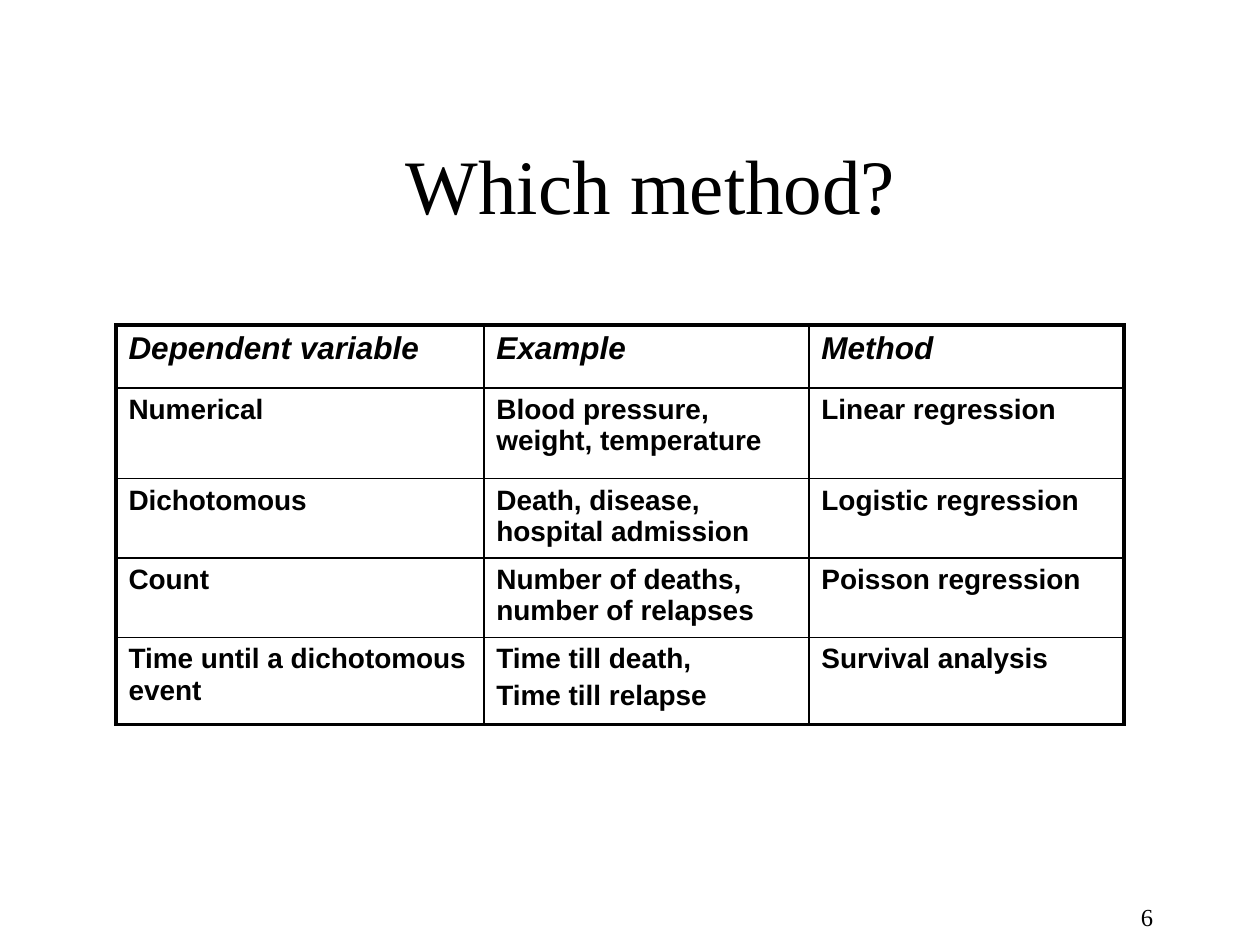
from lxml import etree
from pptx import Presentation
from pptx.dml.color import RGBColor
from pptx.enum.text import MSO_ANCHOR, PP_ALIGN
from pptx.oxml.ns import qn
from pptx.util import Inches, Pt

MIDDLE = MSO_ANCHOR.MIDDLE
CENTER, LEFT, RIGHT = PP_ALIGN.CENTER, PP_ALIGN.LEFT, PP_ALIGN.RIGHT

COLORS = {"ink": "000000", "paper": "FFFFFF"}
SERIF = "Times New Roman"
THIN, THICK = 1, 2.25

TITLE = {"name": SERIF, "size": Pt(44), "bold": False}
HEAD = {"name": "Arial", "size": Pt(18), "bold": True, "italic": True}
BODY = {"name": "Arial", "size": Pt(16), "bold": True, "italic": False}
NUMBER = {"name": SERIF, "size": Pt(14)}

COLS = [2.92, 2.58, 2.5]
ROWS = [0.5, 0.72, 0.63, 0.63, 0.69]
METHODS = [
    ["Dependent variable", "Example", "Method"],
    ["Numerical", "Blood pressure, weight, temperature", "Linear regression"],
    ["Dichotomous", "Death, disease, hospital admission", "Logistic regression"],
    ["Count", "Number of deaths, number of relapses", "Poisson regression"],
    ["Time until a dichotomous event", "Time till death,\nTime till relapse",
     "Survival analysis"],
]


def color(name):
    return RGBColor.from_string(COLORS[name])


def write(frame, text, style, align=LEFT):
    """Fill a text frame; later paragraphs get a gap of 20% of the size."""
    frame.text = text
    frame.word_wrap = True
    for i, para in enumerate(frame.paragraphs):
        para.alignment = align
        para.space_before = Pt(0.2 * style["size"].pt) if i else Pt(0)
        for run in para.runs:
            for key, value in style.items():
                setattr(run.font, key, value)
            run.font.color.rgb = color("ink")


def add_border(cell, side, width):
    props = cell._tc.get_or_add_tcPr()
    line = etree.SubElement(props, qn(f"a:ln{side}"), w=str(Pt(width)))
    fill = etree.SubElement(line, qn("a:solidFill"))
    etree.SubElement(fill, qn("a:srgbClr"), val=COLORS["ink"])


def add_title(slide, text):
    title = slide.shapes.title
    title.left, title.top = Inches(0.83), Inches(0.83)
    title.width, title.height = Inches(8.67), Inches(1.25)
    write(title.text_frame, text, TITLE, CENTER)
    title.text_frame.vertical_anchor = MIDDLE


def add_grid(slide, data):
    frame = slide.shapes.add_table(
        len(ROWS), len(COLS), Inches(0.92), Inches(2.58),
        Inches(sum(COLS)), Inches(sum(ROWS)))
    table = frame.table
    table.first_row = table.horz_banding = False
    for col, width in zip(table.columns, COLS):
        col.width = Inches(width)
    for row, height in zip(table.rows, ROWS):
        row.height = Inches(height)

    for r, line in enumerate(data):
        for c, text in enumerate(line):
            cell = table.cell(r, c)
            write(cell.text_frame, text, BODY if r else HEAD)
            # Thick outer frame, thin inner rules
            outer = {"L": c == 0, "R": c == len(COLS) - 1,
                     "T": r == 0, "B": r == len(ROWS) - 1}
            for side, edge in outer.items():
                add_border(cell, side, THICK if edge else THIN)
            cell.fill.background()


def add_number(slide, text):
    box = slide.shapes.add_textbox(
        Inches(7.17), Inches(7.11), Inches(2.08), Inches(0.5))
    write(box.text_frame, text, NUMBER, RIGHT)


def main():
    deck = Presentation()
    deck.slide_width, deck.slide_height = Inches(10), Inches(7.5)
    slide = deck.slides.add_slide(deck.slide_layouts[5])
    slide.background.fill.solid()
    slide.background.fill.fore_color.rgb = color("paper")

    add_title(slide, "Which method?")
    add_grid(slide, METHODS)
    add_number(slide, "6")
    deck.save("out.pptx")


if __name__ == "__main__":
    main()
